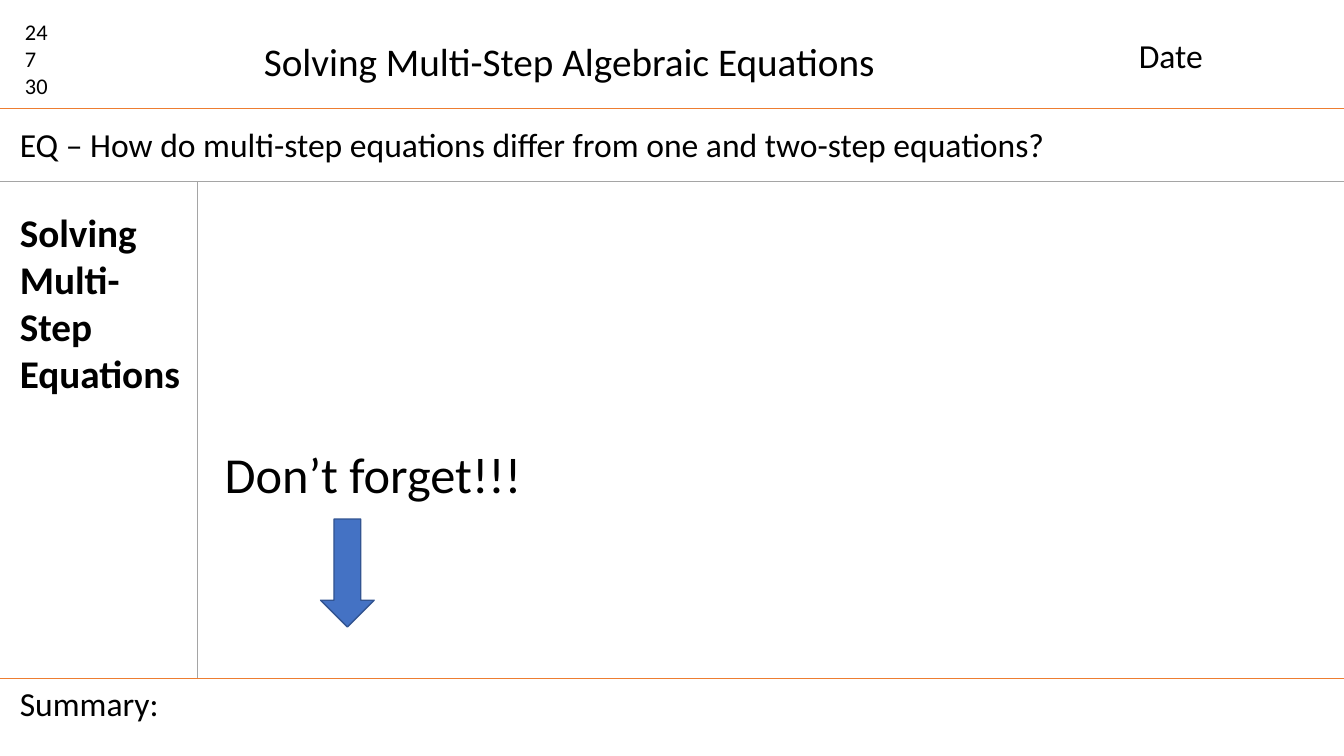
import pptx
import pptx.util
import pptx.dml.color
import pptx.enum.shapes
import pptx.enum.text
import pptx.oxml.ns
import lxml.etree

Cm = pptx.util.Cm
Pt = pptx.util.Pt

WIDE, HIGH = 33.87, 19.05
HEAD, QUEST, FOOT = 2.72, 4.57, 17.09  # heights of the three rules
SIDE = 4.98  # right edge of the cue column
EDGE = 0.25
ORANGE, GRAY = "ED7D31", "A5A5A5"


def color(code):
    return pptx.dml.color.RGBColor.from_string(code)


def add_text(slide, text, left, top, width, height,
             size=24, bold=False, wrap=True):
    """Add a text box; each line of text becomes a paragraph."""
    box = slide.shapes.add_textbox(Cm(left), Cm(top), Cm(width), Cm(height))
    frame = box.text_frame
    frame.word_wrap = wrap
    frame.auto_size = pptx.enum.text.MSO_AUTO_SIZE.SHAPE_TO_FIT_TEXT
    frame.text = text
    for para in frame.paragraphs:
        font = para.font
        font.name = "Calibri"
        font.size = Pt(size)
        font.bold = bold
        font.color.rgb = color("000000")


def add_rule(slide, x1, y1, x2, y2, code):
    rule = slide.shapes.add_connector(
        pptx.enum.shapes.MSO_CONNECTOR.STRAIGHT,
        Cm(x1), Cm(y1), Cm(x2), Cm(y2))
    rule.line.color.rgb = color(code)
    rule.line.width = Pt(0.5)
    props = rule._element.spPr
    lxml.etree.SubElement(props, pptx.oxml.ns.qn("a:effectLst"))


def add_arrow(slide, left, top, width, height):
    arrow = slide.shapes.add_shape(
        pptx.enum.shapes.MSO_SHAPE.DOWN_ARROW,
        Cm(left), Cm(top), Cm(width), Cm(height))
    arrow.shadow.inherit = False
    arrow.fill.solid()
    arrow.fill.fore_color.rgb = color("4472C4")
    arrow.line.color.rgb = color("325491")
    arrow.line.width = Pt(1)


def main():
    deck = pptx.Presentation()
    deck.slide_width, deck.slide_height = Cm(WIDE), Cm(HIGH)
    slide = deck.slides.add_slide(deck.slide_layouts[6])

    for y, code in ((HEAD, ORANGE), (QUEST, GRAY), (FOOT, ORANGE)):
        add_rule(slide, 0, y, WIDE, y, code)
    add_rule(slide, SIDE, QUEST, SIDE, FOOT, GRAY)

    add_text(slide, "24\n7\n30", 0.38, 0.33, 1.6, 2.31, size=16)
    add_text(slide, "Solving Multi-Step Algebraic Equations",
             6.4, 0.81, 16.08, 1.45, size=28, wrap=False)
    add_text(slide, "Date", 28.45, 0.76, 4.39, 1.27)
    add_text(slide, "EQ – How do multi-step equations differ from "
             "one and two-step equations?", EDGE, 3, 29.46, 1.27)
    add_text(slide, "Summary:", EDGE, FOOT, 4.24, 1.27, wrap=False)
    add_text(slide, "Solving Multi-Step\nEquations",
             EDGE, 5.13, SIDE - EDGE, 5.05, size=28, bold=True)
    add_text(slide, "Don’t forget!!!", 5.41, 11.05, 13.44, 1.8, size=36)
    add_arrow(slide, 8.08, 13.08, 1.35, 2.72)

    deck.save("out.pptx")


if __name__ == "__main__":
    main()
